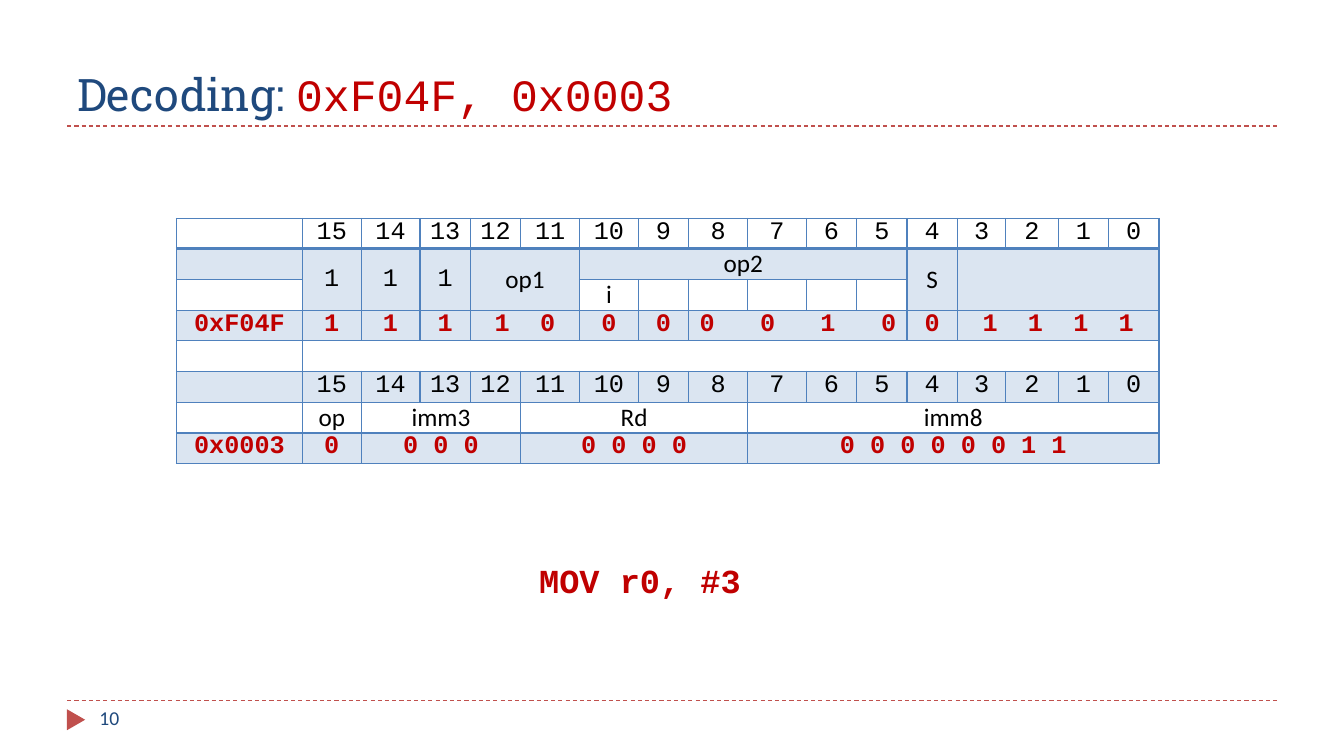
from lxml import etree
from pptx import Presentation
from pptx.dml.color import RGBColor
from pptx.enum import dml, shapes, text
from pptx.oxml import ns
from pptx.util import Pt

NAVY, RED, BLUE, ACCENT, BLACK = "1F497D", "C00000", "4F81BD", "C0504D", "000000"
CODE, BODY = "Courier New", "Calibri"
COLUMN_WIDTHS = [90, 42, 42, 36, 36, 42, 42, 36, 42, 42, 36, 36, 36, 34.5, 37.5, 36, 36]
ROW_HEIGHTS = [20.5, 22, 22, 20.5, 22, 22, 22, 20.5]
SHADED_ROWS = (1, 3, 5, 7)
BITS = [(col, 1, str(16 - col)) for col in range(1, 17)]

# Fields of each row: first column, columns spanned, text
OPCODE = [(1, 1, "1"), (2, 1, "1"), (3, 1, "1"), (4, 2, "op1"),
          (6, 6, "op2"), (12, 1, "S"), (13, 4, "")]
FIRST_WORD = [(0, 1, "0xF04F"), (1, 1, "1"), (2, 1, "1"), (3, 1, "1"), (4, 2, "1 0"),
              (6, 1, "0"), (7, 1, "0"), (8, 4, "0 0 1 0"), (12, 1, "0"), (13, 4, "1 1 1 1")]
OPERANDS = [(1, 1, "op"), (2, 3, "imm3"), (5, 4, "Rd"), (9, 8, "imm8")]
SECOND_WORD = [(0, 1, "0x0003"), (1, 1, "0"), (2, 3, "0 0 0"), (5, 4, "0 0 0 0"),
               (9, 8, "0 0 0 0 0 0 1 1")]
FIRST_WORD_SPACING = {4: 5.4, 8: 10.8, 13: 5.4}


def rgb(color):
    return RGBColor.from_string(color)


def write(p, content, size=18, font=CODE, color=BLACK, bold=False, spacing=0):
    """Add a run; spacing is the extra points between characters."""
    parts = [(content[:-1], spacing), (content[-1], 0)] if spacing else [(content, 0)]
    for part, gap in parts:
        r = p.add_run()
        r.text = part
        r.font.size, r.font.name, r.font.bold = Pt(size), font, bold
        r.font.color.rgb = rgb(color)
        if gap:
            r.font._element.set("spc", str(round(gap * 100)))


def add_text(slide, box, content, **style):
    sp = slide.shapes.add_textbox(*map(Pt, box))
    sp.text_frame.word_wrap = False
    write(sp.text_frame.paragraphs[0], content, **style)


def add_title(slide):
    title = slide.shapes.title
    title.left, title.top, title.width, title.height = Pt(48), Pt(12), Pt(864), Pt(78)
    tf = title.text_frame
    tf.vertical_anchor = text.MSO_ANCHOR.BOTTOM
    p = tf.paragraphs[0]
    p.alignment = text.PP_ALIGN.LEFT
    write(p, "Decoding: ", size=32, font="Roboto Slab", color=NAVY)
    write(p, "0xF04F, 0x0003", size=32, color=RED)


def add_rule(slide, y):
    line = slide.shapes.add_connector(shapes.MSO_CONNECTOR.STRAIGHT, Pt(48), Pt(y), Pt(912), Pt(y))
    line.line.color.rgb = rgb(ACCENT)
    line.line.width = Pt(0.75)
    line.line.dash_style = dml.MSO_LINE.DASH
    etree.SubElement(line._element.spPr, ns.qn("a:effectLst"))


def add_marker(slide):
    sp = slide.shapes.add_shape(shapes.MSO_SHAPE.ISOSCELES_TRIANGLE,
                                Pt(46.8), Pt(507.6), Pt(15), Pt(13))
    sp.rotation = 90
    sp.shadow.inherit = False
    sp.fill.solid()
    sp.fill.fore_color.rgb = rgb(ACCENT)
    sp.line.fill.background()


def add_color(parent, color):
    fill = etree.SubElement(parent, ns.qn("a:solidFill"))
    return etree.SubElement(fill, ns.qn("a:srgbClr"), val=color)


def format_cell(cell, row):
    """Set insets, borders, fill and the height of an empty line."""
    cell.margin_left = cell.margin_right = Pt(5)
    cell.margin_top = cell.margin_bottom = 0
    tc_pr = cell._tc.get_or_add_tcPr()
    for side in "LRTB":
        width = 2 if row == 0 and side == "B" else 1
        border = etree.SubElement(tc_pr, ns.qn("a:ln" + side), w=str(Pt(width)))
        add_color(border, BLUE)
    if row in SHADED_ROWS:
        etree.SubElement(add_color(tc_pr, BLUE), ns.qn("a:alpha"), val="20000")
    else:
        cell.fill.background()
    p = cell.text_frame.paragraphs[0]
    etree.SubElement(p._p, ns.qn("a:endParaRPr"), sz="1200")


def fill_row(table, row, fields, rows_spanned=None, spacing=None, **style):
    """Merge and write fields; rows_spanned and spacing are keyed by column."""
    for col, span, content in fields:
        cell = table.cell(row, col)
        height = (rows_spanned or {}).get(col, 1)
        if span > 1 or height > 1:
            cell.merge(table.cell(row + height - 1, col + span - 1))
        if height > 1 or row == 1:
            cell.vertical_anchor = text.MSO_ANCHOR.MIDDLE
        if content:
            p = cell.text_frame.paragraphs[0]
            p.alignment = text.PP_ALIGN.CENTER
            font = BODY if content[0].isalpha() else CODE
            write(p, content, font=font, spacing=(spacing or {}).get(col, 0), **style)


def add_encoding_table(slide):
    frame = slide.shapes.add_table(len(ROW_HEIGHTS), len(COLUMN_WIDTHS), Pt(126), Pt(156),
                                   Pt(sum(COLUMN_WIDTHS)), Pt(sum(ROW_HEIGHTS)))
    table = frame.table
    table.first_row = table.horz_banding = False
    for column, width in zip(table.columns, COLUMN_WIDTHS):
        column.width = Pt(width)
    for i, (row, height) in enumerate(zip(table.rows, ROW_HEIGHTS)):
        row.height = Pt(height)
        for cell in row.cells:
            format_cell(cell, i)
    fill_row(table, 0, BITS)
    fill_row(table, 1, OPCODE, rows_spanned={col: 2 for col in (1, 2, 3, 4, 12, 13)})
    fill_row(table, 2, [(6, 1, "i")])
    fill_row(table, 3, FIRST_WORD, spacing=FIRST_WORD_SPACING, color=RED, bold=True)
    fill_row(table, 4, [(1, 16, "")])
    fill_row(table, 5, BITS)
    fill_row(table, 6, OPERANDS)
    fill_row(table, 7, SECOND_WORD, color=RED, bold=True)


def main():
    prs = Presentation()
    prs.slide_width, prs.slide_height = Pt(960), Pt(540)
    slide = prs.slides.add_slide(prs.slide_layouts[5])
    for y in (500.4, 90):
        add_rule(slide, y)
    add_marker(slide)
    add_title(slide)
    add_text(slide, (64, 500.4, 208, 28.8), "10", size=14, font=BODY, color=NAVY)
    add_encoding_table(slide)
    add_text(slide, (378, 396.7, 162, 36), "MOV r0, #3", size=24, color=RED, bold=True)
    prs.save("out.pptx")


if __name__ == "__main__":
    main()
